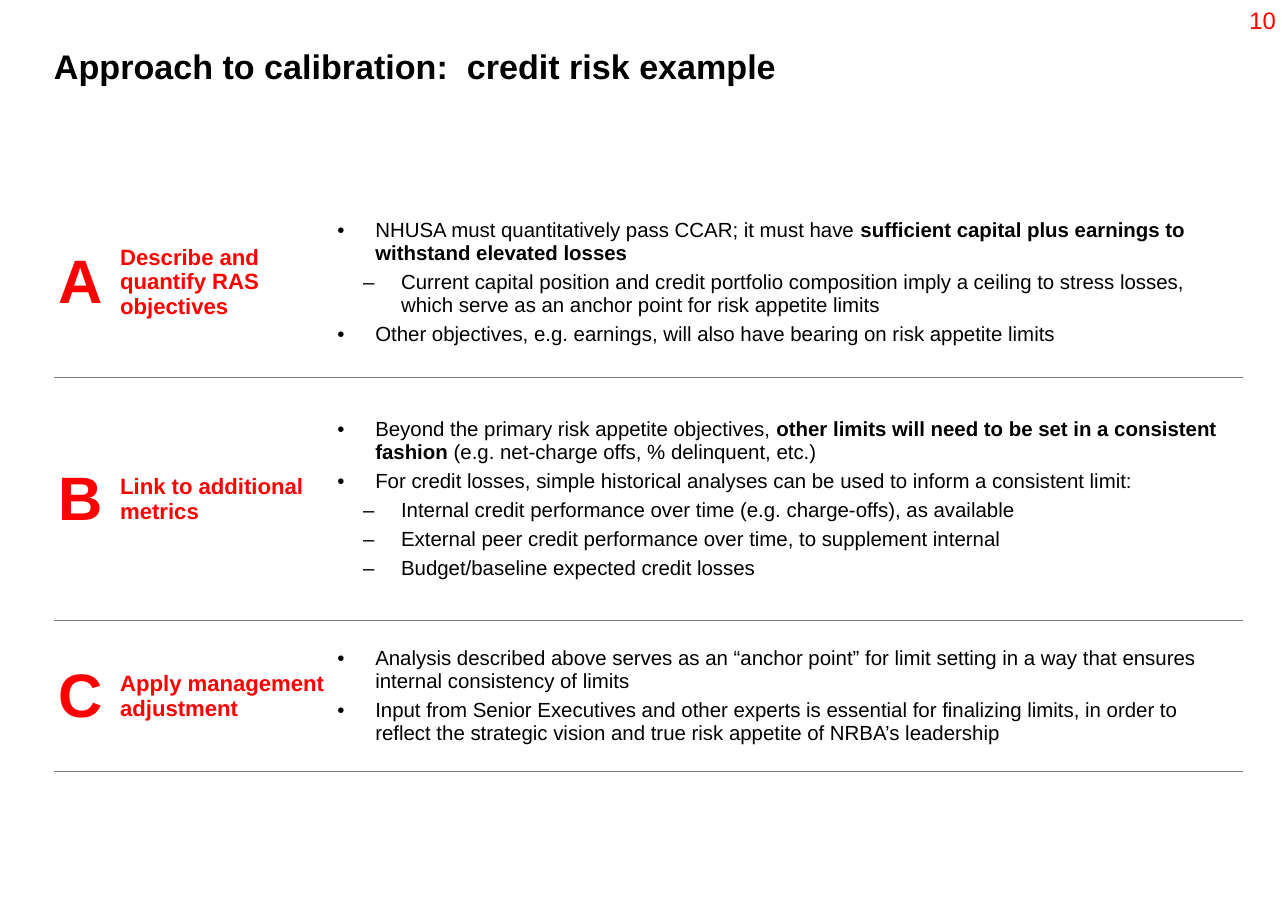
import pptx
import pptx.util
import pptx.dml.color
import pptx.enum.text
import pptx.oxml
import pptx.oxml.ns
from pptx.util import Inches

TITLE = "Approach to calibration:  credit risk example"
PAGE_NUMBER = "10"
STEPS = [
    ("A", "Describe and quantify RAS objectives", 1.56, [
        (1, [("NHUSA must quantitatively pass CCAR; it must have ", False),
             ("sufficient capital plus earnings to withstand elevated losses", True)]),
        (2, [("Current capital position and credit portfolio composition imply a ceiling to "
              "stress losses, which serve as an anchor point for risk appetite limits", False)]),
        (1, [("Other objectives, e.g. earnings, will also have bearing on risk appetite limits", False)]),
    ]),
    ("B", "Link to additional metrics", 1.98, [
        (1, [("Beyond the primary risk appetite objectives, ", False),
             ("other limits will need to be set in a consistent fashion ", True),
             ("(e.g. net-charge offs, % delinquent, etc.)", False)]),
        (1, [("For credit losses, simple historical analyses can be used to inform a consistent limit:", False)]),
        (2, [("Internal credit performance over time (e.g. charge-offs), as available", False)]),
        (2, [("External peer credit performance over time, to supplement internal", False)]),
        (2, [("Budget/baseline expected credit losses", False)]),
    ]),
    ("C", "Apply management adjustment", 1.23, [
        (1, [("Analysis described above serves as an “anchor point” for limit setting in a way "
              "that ensures internal consistency of limits", False)]),
        (1, [("Input from Senior Executives and other experts is essential for finalizing limits, in "
              "order to reflect the strategic vision and true risk appetite of NRBA’s leadership", False)]),
    ]),
]
COLORS = {"black": "000000", "red": "FF0000", "rule": "777777"}
FONT = "Arial"
COLUMN_WIDTHS = [0.5, 1.77, 7.42]
TABLE_LEFT, TABLE_TOP = 0.44, 1.52
CELL_MARGIN = 0.04
BULLETS = {1: ("•", 0.31), 2: ("–", 0.52)}
HANGING = 0.31
BULLET_SIZE = 12
NO_STYLE = "{2D5ABB26-0587-4C30-8999-92F81FD0307C}"


def add_text(paragraph, text, size, color="black", bold=False):
    run = paragraph.add_run()
    run.text = text
    run.font.name = FONT
    run.font.size = pptx.util.Pt(size)
    run.font.bold = bold
    run.font.color.rgb = pptx.dml.color.RGBColor.from_string(COLORS[color])


def set_bullet(paragraph, level):
    character, indent = BULLETS[level]
    properties = paragraph._p.get_or_add_pPr()
    properties.set("marL", str(Inches(indent)))
    properties.set("indent", str(-Inches(HANGING)))
    namespace = pptx.oxml.ns.nsdecls("a")
    properties.append(pptx.oxml.parse_xml(f'<a:buFont {namespace} typeface="{FONT}"/>'))
    properties.append(pptx.oxml.parse_xml(f'<a:buChar {namespace} char="{character}"/>'))


def format_cell(cell):
    cell.fill.background()
    cell.vertical_anchor = pptx.enum.text.MSO_ANCHOR.MIDDLE
    cell.margin_left = cell.margin_right = Inches(CELL_MARGIN)
    cell.margin_top = cell.margin_bottom = Inches(CELL_MARGIN)
    cell._tc.get_or_add_tcPr().insert(0, pptx.oxml.parse_xml(
        f'<a:lnB {pptx.oxml.ns.nsdecls("a")} w="{pptx.util.Pt(0.75)}"><a:solidFill>'
        f'<a:srgbClr val="{COLORS["rule"]}"/></a:solidFill></a:lnB>'))


def add_title(slide):
    title = slide.shapes.title
    title.left, title.top = Inches(TABLE_LEFT), Inches(0.42)
    title.width, title.height = Inches(9.62), Inches(0.8)
    frame = title.text_frame
    frame.margin_left = frame.margin_right = frame.margin_top = frame.margin_bottom = 0
    frame.auto_size = pptx.enum.text.MSO_AUTO_SIZE.NONE
    frame.vertical_anchor = pptx.enum.text.MSO_ANCHOR.TOP
    paragraph = frame.paragraphs[0]
    paragraph.alignment = pptx.enum.text.PP_ALIGN.LEFT
    paragraph.line_spacing = 0.86
    add_text(paragraph, TITLE, 20, bold=True)


def add_steps(slide):
    frame = slide.shapes.add_table(
        len(STEPS), len(COLUMN_WIDTHS), Inches(TABLE_LEFT), Inches(TABLE_TOP),
        Inches(sum(COLUMN_WIDTHS)), Inches(sum(step[2] for step in STEPS)))
    table = frame.table
    table.first_row = table.horz_banding = False
    table._tbl.tblPr.find(pptx.oxml.ns.qn("a:tableStyleId")).text = NO_STYLE
    for column, width in zip(table.columns, COLUMN_WIDTHS):
        column.width = Inches(width)
    for row, (letter, label, height, points) in zip(table.rows, STEPS):
        row.height = Inches(height)
        for cell in row.cells:
            format_cell(cell)
        letter_cell, label_cell, points_cell = row.cells
        add_text(letter_cell.text_frame.paragraphs[0], letter, 36, color="red", bold=True)
        add_text(label_cell.text_frame.paragraphs[0], label, 13, color="red", bold=True)
        for index, (level, runs) in enumerate(points):
            text_frame = points_cell.text_frame
            paragraph = text_frame.add_paragraph() if index else text_frame.paragraphs[0]
            paragraph.level = level
            paragraph.space_before = pptx.util.Pt(0.3 * BULLET_SIZE if index else 0)
            set_bullet(paragraph, level)
            for text, bold in runs:
                add_text(paragraph, text, BULLET_SIZE, bold=bold)


def add_page_number(slide):
    box = slide.shapes.add_textbox(Inches(10.06), 0, Inches(0.44), Inches(0.42))
    box.text_frame.word_wrap = False
    paragraph = box.text_frame.paragraphs[0]
    paragraph.alignment = pptx.enum.text.PP_ALIGN.RIGHT
    add_text(paragraph, PAGE_NUMBER, 14, color="red")


def main():
    presentation = pptx.Presentation()
    presentation.slide_width, presentation.slide_height = Inches(10.5), Inches(7.5)
    slide = presentation.slides.add_slide(presentation.slide_layouts[5])
    add_title(slide)
    add_steps(slide)
    add_page_number(slide)
    presentation.save("out.pptx")


if __name__ == "__main__":
    main()
